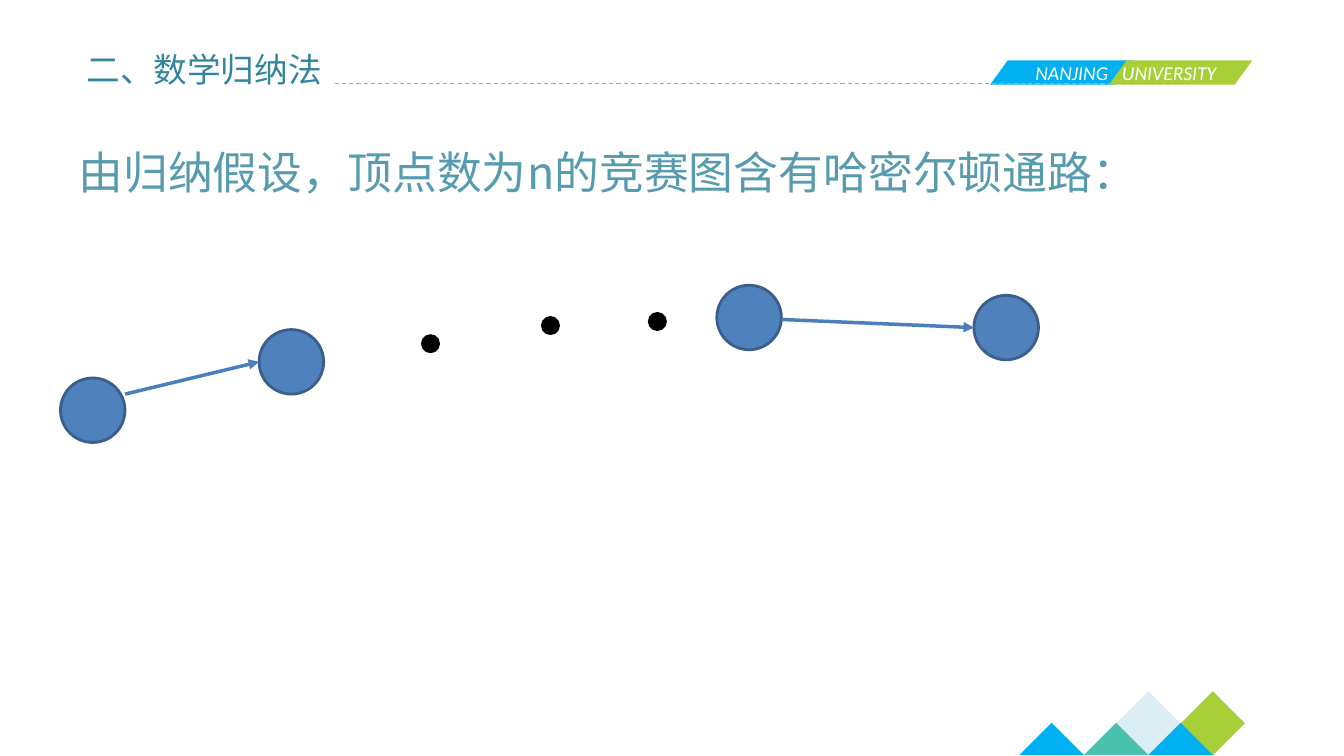
"""Build the slide on induction for Hamiltonian paths in tournaments."""
from dataclasses import dataclass
from typing import Optional

from lxml.etree import SubElement as Sub
from pptx import Presentation
from pptx.dml.color import RGBColor as RGB
from pptx.enum.dml import MSO_LINE_DASH_STYLE as Dash
from pptx.enum.shapes import MSO_CONNECTOR as Link, MSO_SHAPE as Kind
from pptx.enum.text import MSO_AUTO_SIZE as Auto
from pptx.oxml.ns import qn
from pptx.util import Inches, Pt

WHITE = RGB(0xFF, 0xFF, 0xFF)
BLACK = RGB(0x00, 0x00, 0x00)
SKY = RGB(0x00, 0xB0, 0xF0)
LIME = RGB(0xA8, 0xCF, 0x38)
PALE = RGB(0xDB, 0xEE, 0xF4)
MINT = RGB(0x49, 0xC1, 0xAD)
GRAY = RGB(0xA6, 0xA6, 0xA6)
TEAL = RGB(0x31, 0x85, 0x9C)
SLATE = RGB(0x57, 0x9B, 0xAE)
BLUE = RGB(0x4F, 0x81, 0xBD)
NAVY = RGB(0x3A, 0x5F, 0x8C)
ARROW = RGB(0x4B, 0x7E, 0xBC)
HAN = "Noto Sans CJK SC"
HALF = 0.32


@dataclass
class Form:
    """A filled preset shape."""
    kind: Kind
    left: float
    top: float
    width: float
    height: float
    fill: RGB
    edge: Optional[RGB] = None
    turn: float = 0


@dataclass
class Label:
    """A line of text with its font values."""
    text: str
    left: float
    top: float
    width: float
    height: float
    color: RGB
    font: dict
    wrap: bool = False
    stop: float = 0


@dataclass
class Edge:
    """A straight line between two points."""
    start: tuple[float, float]
    end: tuple[float, float]
    color: RGB
    width: float
    dash: bool = False


def badge(left: float, fill: RGB) -> Form:
    """Describe one slanted half of the university badge."""
    return Form(Kind.PARALLELOGRAM, left, 0.6, 1.42, 0.24, fill)


def gem(mid: float, fill: RGB) -> Form:
    """Describe a square standing on its corner."""
    return Form(Kind.RECTANGLE, mid - 0.225, 6.95, 0.45, 0.45, fill, turn=315)


def node(left: float, top: float) -> Form:
    """Describe a vertex of the graph."""
    return Form(Kind.OVAL, left, top, 0.64, 0.64, BLUE, NAVY)


def dot(left: float, top: float) -> Form:
    """Describe a dot of the ellipsis."""
    return Form(Kind.OVAL, left, top, 0.16, 0.16, BLACK, BLACK)


BADGES = [badge(9.82, SKY), badge(11, LIME)]
GEMS = [gem(11.39, PALE), gem(12.03, LIME)]
PEAKS = [SKY, MINT, SKY]
NODES = [node(0.6, 3.75), node(7.11, 2.83), node(9.66, 2.93),
         dot(4.19, 3.33), dot(5.38, 3.15), dot(6.44, 3.11),
         node(2.57, 3.27)]
RULE = Edge((3.32, 0.83), (11.86, 0.83), GRAY, 0.75, dash=True)
ARROWS = [Edge((1.24, 3.91), (2.57, 3.59), ARROW, 2.5),
          Edge((7.76, 3.17), (9.66, 3.25), ARROW, 2.5)]
NAME = Label("NANJING\tUNIVERSITY", 10.17, 0.56, 2.24, 0.34, WHITE,
             {"name": "Calibri", "size": Pt(14), "italic": True},
             wrap=True, stop=0.86)
HEADS = [Label("二、数学归纳法", 0.76, 0.44, 2.56, 0.5, TEAL,
               {"name": HAN, "size": Pt(24)}),
         Label("由归纳假设，顶点数为n的竞赛图含有哈密尔顿通路：",
               0.68, 1.39, 10.78, 0.64, SLATE,
               {"name": HAN, "size": Pt(32)})]


def paint(shape, fill: RGB, edge: Optional[RGB] = None) -> None:
    """Set fill and outline and drop the shadow."""
    shape.shadow.inherit = False
    shape.fill.solid()
    shape.fill.fore_color.rgb = fill
    if edge is None:
        shape.line.fill.background()
    else:
        shape.line.color.rgb = edge
        shape.line.width = Pt(2)


def draw_form(slide, form: Form) -> None:
    """Draw a preset shape."""
    area = map(Inches, (form.left, form.top, form.width, form.height))
    shape = slide.shapes.add_shape(form.kind, *area)
    shape.rotation = form.turn
    if form.kind == Kind.PARALLELOGRAM:
        shape.adjustments[0] = 0.726
    paint(shape, form.fill, form.edge)


def draw_peak(slide, mid: float, fill: RGB) -> None:
    """Draw a triangle on the bottom edge."""
    pen = slide.shapes.build_freeform(Inches(mid), Inches(7.17))
    base = [(Inches(mid + side), Inches(7.49)) for side in (HALF, -HALF)]
    pen.add_line_segments(base, close=True)
    paint(pen.convert_to_shape(), fill)


def draw_label(slide, label: Label) -> None:
    """Draw a text box."""
    area = map(Inches, (label.left, label.top, label.width, label.height))
    frame = slide.shapes.add_textbox(*area).text_frame
    frame.word_wrap = label.wrap
    frame.auto_size = Auto.SHAPE_TO_FIT_TEXT
    para = frame.paragraphs[0]
    if label.stop:
        tabs = Sub(para._p.get_or_add_pPr(), qn("a:tabLst"))
        Sub(tabs, qn("a:tab"), pos=str(Inches(label.stop)), algn="l")
    run = para.add_run()
    run.text = label.text
    for key, value in label.font.items():
        setattr(run.font, key, value)
    run.font.color.rgb = label.color
    Sub(run._r.get_or_add_rPr(), qn("a:ea"), typeface=label.font["name"])


def draw_edge(slide, edge: Edge) -> None:
    """Draw a dashed rule or a solid arrow."""
    ends = map(Inches, edge.start + edge.end)
    link = slide.shapes.add_connector(Link.STRAIGHT, *ends)
    link.line.color.rgb = edge.color
    link.line.width = Pt(edge.width)
    if edge.dash:
        link.line.dash_style = Dash.DASH
    else:
        Sub(link.line._get_or_add_ln(), qn("a:tailEnd"), type="triangle")
    Sub(link._element.spPr, qn("a:effectLst"))


def main() -> None:
    """Build and save the slide."""
    deck = Presentation()
    deck.slide_width, deck.slide_height = Inches(13.33), Inches(7.5)
    slide = deck.slides.add_slide(deck.slide_layouts[6])
    for form in BADGES + GEMS:
        draw_form(slide, form)
    for step, fill in enumerate(PEAKS):
        draw_peak(slide, 10.43 + 2 * HALF * step, fill)
    draw_label(slide, NAME)
    draw_edge(slide, RULE)
    for label in HEADS:
        draw_label(slide, label)
    for form in NODES:
        draw_form(slide, form)
    for edge in ARROWS:
        draw_edge(slide, edge)
    deck.save("out.pptx")


if __name__ == "__main__":
    main()
